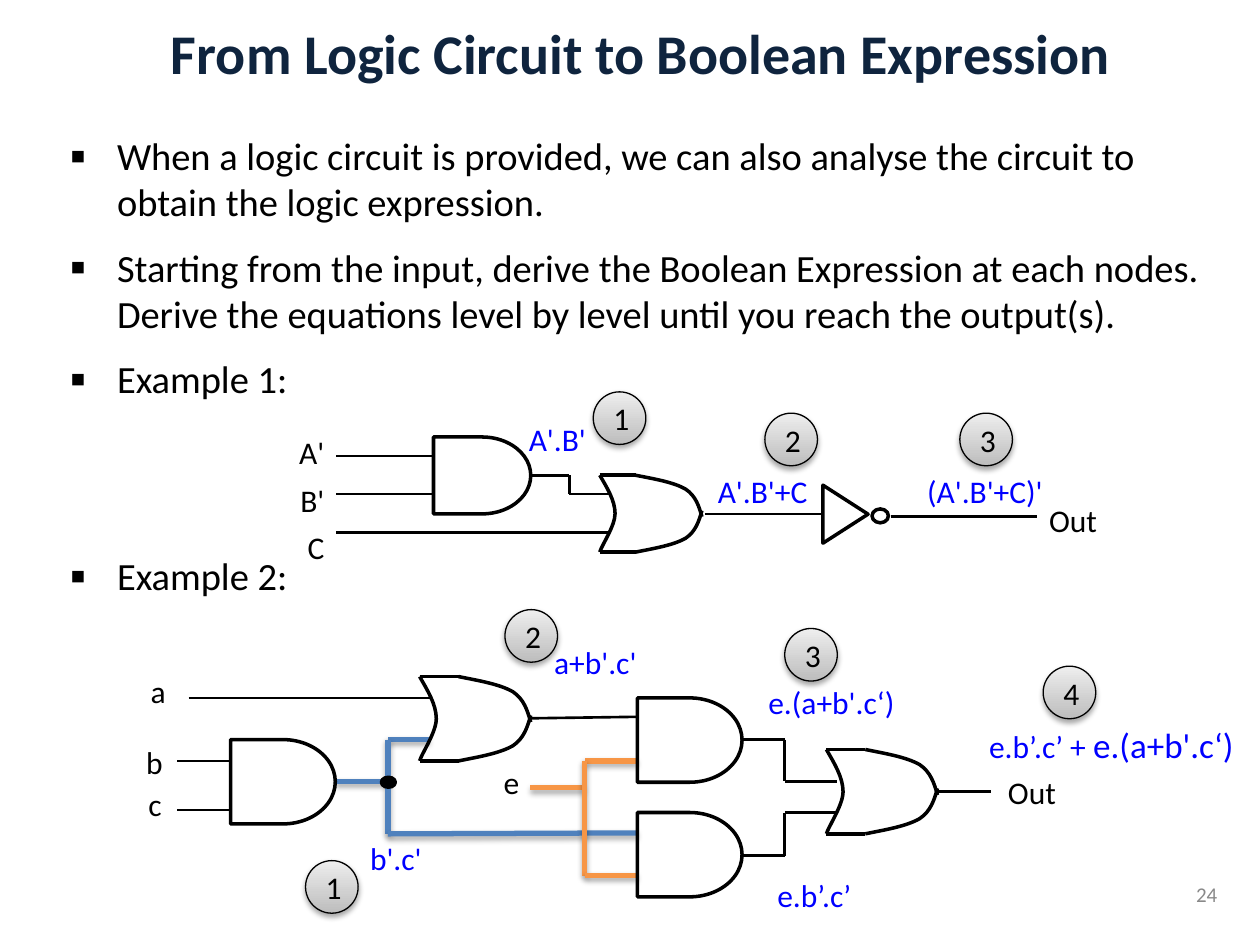
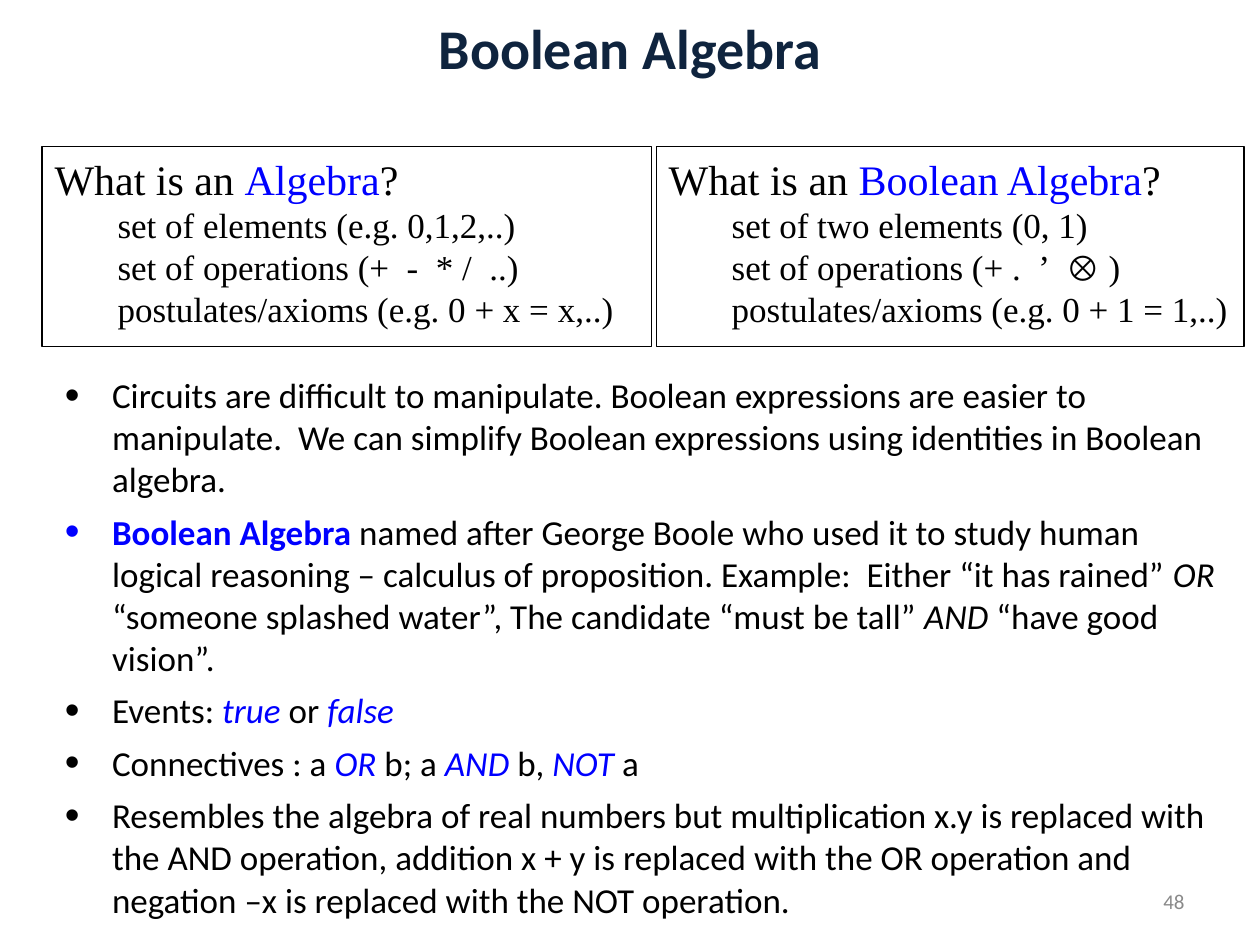
from itertools import pairwise

from lxml import etree
from pptx import Presentation
from pptx.dml.color import RGBColor
from pptx.enum import shapes, text
from pptx.oxml import ns
from pptx.util import Cm, Pt

COLORS = {"title": "0F243E", "ink": "000000", "key": "0000FF", "number": "898989",
          "blue": "4F81BD", "orange": "F79646", "badge_low": "BDBDBD", "badge_high": "EEEEEE"}
FONT, SERIF = "Calibri", "Times New Roman"
LEFT, CENTER, RIGHT = text.PP_ALIGN.LEFT, text.PP_ALIGN.CENTER, text.PP_ALIGN.RIGHT
SHAPE = shapes.MSO_SHAPE
BULLET_INDENT = 0.95
GATE_LINE, WIRE_LINE, BUS_LINE, THIN_LINE = 2, 1.5, 3, 0.75
BADGE_SIZE = 1.06

KEY = {"color": "key"}
KEY_BOLD = {"color": "key", "bold": True}
KEY_ITALIC = {"color": "key", "italic": True}
ITALIC = {"italic": True}

# Content: a paragraph is a list of (words, style) spans; places are in centimetres.
CIRCUIT_POINTS = [  # words, space before
    ("When a logic circuit is provided, we can also analyse the circuit to obtain "
     "the logic expression.", 0),
    ("Starting from the input, derive the Boolean Expression at each nodes. Derive the "
     "equations level by level until you reach the output(s).", 11),
    ("Example 1:", 11),
    ("Example 2:", 86),
]

EXAMPLE_1 = {
    "wires": [
        [(6.78, 9.19), (8.74, 9.19)],
        [(6.78, 9.96), (8.74, 9.96)],
        [(6.78, 10.74), (12.27, 10.74)],
        [(10.72, 9.58), (11.48, 9.58), (11.48, 9.96), (12.27, 9.96)],
        [(14.22, 10.36), (16.59, 10.36)],
        [(17.96, 10.41), (20.9, 10.41)],
    ],
    "buses": [],
    "gate_size": (1.96, 1.55),
    "and_gates": [(8.74, 8.81)],
    "or_size": (2.06, 1.55),
    "or_gates": [(12.09, 9.58)],
    "badges": [("1", 11.96, 7.9), ("2", 15.42, 8.33), ("3", 19.35, 8.33)],
    "nodes": [  # spans, left, top, width
        ([("A'.B'", KEY)], 10.41, 8.35, 1.9),
        ([("A'.B'+C", KEY)], 14.22, 9.4, 2.74),
        ([("(A'.B'+C)'", KEY)], 18.44, 9.4, 3.18),
        ([("Out", {})], 20.9, 9.97, 1.9),
    ],
    "inputs": [(["A'", "B'", "C"], 5.62, 8.61, 1.17)],
}
INVERTER = (16.46, 9.91, 1.17, 0.91)
INVERTER_BUBBLE = (17.58, 10.26, 0.33, 0.28)

EXAMPLE_2 = {
    "wires": [
        [(3.57, 15.34), (4.65, 15.34)],
        [(3.57, 16.33), (4.65, 16.33)],
        [(3.8, 14.07), (8.66, 14.07)],
        [(10.7, 14.48), (12.85, 14.45)],
        [(14.96, 14.91), (15.82, 14.91), (15.82, 15.75), (16.87, 15.75)],
        [(14.96, 17.25), (15.82, 17.25), (15.82, 16.38), (16.87, 16.38)],
        [(18.9, 15.95), (19.97, 15.95)],
    ],
    "buses": [
        ("blue", [(6.76, 15.75), (7.82, 15.75)]),
        ("blue", [(8.66, 14.91), (7.82, 14.91), (7.82, 15.75), (7.82, 16.81),
                  (12.85, 16.79)]),
        ("orange", [(10.69, 15.88), (11.79, 15.88)]),
        ("orange", [(12.85, 15.34), (11.79, 15.34), (11.79, 17.65), (12.85, 17.65)]),
    ],
    "gate_size": (2.11, 1.7),
    "and_gates": [(4.65, 14.91), (12.85, 14.07), (12.85, 16.38)],
    "or_size": (2.24, 1.7),
    "or_gates": [(8.46, 13.64), (16.66, 15.11)],
    "badges": [("1", 6.16, 17.35), ("2", 10.18, 12.29), ("3", 15.82, 12.67),
               ("4", 21.03, 13.43)],
    "nodes": [
        ([("b'.c'", KEY)], 7.21, 16.79, 1.9),
        ([("a+b'.c'", KEY)], 10.92, 12.83, 4.45),
        ([("e.(a+b'.c‘)", KEY)], 15.24, 13.64, 4.45),
        ([("e.b’.c’", KEY)], 15.42, 17.53, 4.45),
        ([("e.b’.c’ + ", KEY), ("e.(a+b'.c‘)", {"color": "key", "size": 20})],
         19.69, 14.46, 6.07),
        ([("Out", {})], 20.07, 15.46, 1.9),
    ],
    "inputs": [(["a"], 2.75, 13.43, 0.84), (["b"], 2.46, 14.86, 1.07),
               (["c"], 2.67, 15.7, 0.84), (["e"], 9.88, 15.26, 0.84)],
}
JUNCTION = (7.69, 15.67, 0.28, 0.2)

# OR gate on a unit square: a start point, then three points for each cubic curve
OR_BACK = [(0, 0), (0.07, 0.16), (0.15, 0.33), (0.15, 0.5),
           (0.15, 0.66), (0.02, 0.91), (0, 1)]
OR_UPPER = [(0.35, 0), (0.54, 0.05), (0.72, 0.09), (0.84, 0.18),
            (0.94, 0.27), (0.97, 0.4), (1, 0.54)]
OR_LOWER = [(x, 1 - y) for x, y in OR_UPPER]
OR_EDGES = [[(0, 0), (0.35, 0)], [(0, 1), (0.35, 1)]]

DEFINITIONS = [  # left, width, subject, facts
    (0.85, 12.28, "Algebra", ["set of elements (e.g. 0,1,2,..)",
                              "set of operations (+  -  * /  ..)",
                              "postulates/axioms (e.g. 0 + x = x,..)"]),
    (13.23, 11.85, "Boolean Algebra", ["set of two elements (0, 1)",
                                       "set of operations (+ .  ’  ⊗ )",
                                       "postulates/axioms (e.g. 0 + 1 = 1,..)"]),
]
ALGEBRA_POINTS = [
    [("Circuits are difficult to manipulate. Boolean expressions are easier to manipulate.  "
      "We can simplify Boolean expressions using identities in Boolean algebra.", {})],
    [("Boolean Algebra", KEY_BOLD),
     (" named after George Boole who used it to study human logical reasoning – calculus of "
      "proposition. Example:  Either “it has rained” ", {}),
     ("OR ", ITALIC), ("“someone splashed water”, The candidate “must be tall” ", {}),
     ("AND", ITALIC), (" “have good vision”.", {})],
    [("Events: ", {}), ("true ", KEY_ITALIC), ("or ", {}), ("false", KEY_ITALIC)],
    [("Connectives : a ", {}), ("OR", KEY_ITALIC), (" b; a ", {}), ("AND", KEY_ITALIC),
     (" b, ", {}), ("NOT", KEY_ITALIC), (" a", {})],
    [("Resembles the algebra of real numbers but multiplication x.y is replaced with the AND "
      "operation, addition x + y is replaced with the OR operation and negation –x is "
      "replaced with the NOT operation.", {})],
]


def rgb(name):
    return RGBColor.from_string(COLORS[name])


def add_para(frame, spans, size=18, font=FONT, align=LEFT, before=0, bullet=None, indent=0):
    """Fill the empty first paragraph of the frame, or append a new one."""
    first = frame.paragraphs[0]
    para = frame.add_paragraph() if first.runs else first
    para.alignment = align
    para.space_before = Pt(before)
    props = para._p.get_or_add_pPr()
    if indent:
        props.set("marL", str(Cm(indent)))
    if bullet:
        props.set("indent", str(-Cm(indent)))
        for tag, name, value in (("buSzPct", "val", "120000"), ("buFont", "typeface", "Arial"),
                                 ("buChar", "char", bullet)):
            etree.SubElement(props, ns.qn(f"a:{tag}")).set(name, value)
    for words, style in spans:
        span = para.add_run()
        span.text = words
        span.font.name = font
        span.font.size = Pt(style.get("size", size))
        span.font.bold = style.get("bold", False)
        span.font.italic = style.get("italic", False)
        span.font.color.rgb = rgb(style.get("color", "ink"))


def add_box(page, left, top, width, height=1.02, anchor=text.MSO_ANCHOR.TOP):
    frame = page.shapes.add_textbox(Cm(left), Cm(top), Cm(width), Cm(height)).text_frame
    frame.word_wrap = True
    frame.vertical_anchor = anchor
    return frame


def set_shadow(item, shown):
    """Replace the theme shadow by a soft one below, or by none."""
    props = item._element.spPr
    effects = props.find(ns.qn("a:effectLst"))
    if effects is None:
        effects = etree.SubElement(props, ns.qn("a:effectLst"))
    if shown:
        shadow = etree.SubElement(effects, ns.qn("a:outerShdw"), blurRad="40000", dist="23000",
                                  dir="5400000", rotWithShape="0")
        color = etree.SubElement(shadow, ns.qn("a:srgbClr"), val=COLORS["ink"])
        etree.SubElement(color, ns.qn("a:alpha"), val="35000")


def outline(shape, width=GATE_LINE):
    shape.shadow.inherit = False
    shape.fill.background()
    shape.line.color.rgb = rgb("ink")
    shape.line.width = Pt(width)
    return shape


def add_outlined(page, kind, left, top, width, height, line=GATE_LINE):
    return outline(page.shapes.add_shape(kind, Cm(left), Cm(top), Cm(width), Cm(height)), line)


def add_wire(page, points, color="ink", width=WIRE_LINE, shadow=False):
    for start, end in pairwise(points):
        wire = page.shapes.add_connector(shapes.MSO_CONNECTOR.STRAIGHT,
                                         *(Cm(value) for value in start + end))
        wire.line.color.rgb = rgb(color)
        wire.line.width = Pt(width)
        set_shadow(wire, shadow)


def add_curve(page, points):
    """Draw an open outline, joining every three segments into one cubic curve."""
    spots = [(Cm(x), Cm(y)) for x, y in points]
    builder = page.shapes.build_freeform(*spots[0])
    builder.add_line_segments(spots[1:], close=False)
    shape = outline(builder.convert_to_shape())
    segments = list(shape._element.iter(ns.qn("a:lnTo")))
    for first in range(0, len(segments), 3):
        curve = etree.Element(ns.qn("a:cubicBezTo"))
        segments[first].addprevious(curve)
        for segment in segments[first:first + 3]:
            curve.append(segment[0])
            segment.getparent().remove(segment)


def add_or_gate(page, left, top, width, height):
    def placed(points):
        return [(left + x * width, top + y * height) for x, y in points]

    for points in (OR_BACK, OR_UPPER, OR_LOWER):
        add_curve(page, placed(points))
    for points in OR_EDGES:
        add_wire(page, placed(points), width=GATE_LINE)


def add_badge(page, number, left, top):
    badge = add_outlined(page, SHAPE.OVAL, left, top, BADGE_SIZE, BADGE_SIZE, THIN_LINE)
    badge.fill.gradient()
    badge.fill.gradient_angle = 90
    for stop, name in zip(badge.fill.gradient_stops, ("badge_low", "badge_high")):
        stop.color.rgb = rgb(name)
    set_shadow(badge, True)
    badge.text_frame.vertical_anchor = text.MSO_ANCHOR.MIDDLE
    add_para(badge.text_frame, [(number, {})], align=CENTER)


def draw_circuit(page, circuit):
    for points in circuit["wires"]:
        add_wire(page, points)
    for color, points in circuit["buses"]:
        add_wire(page, points, color, BUS_LINE, shadow=True)
    for place in circuit["and_gates"]:
        add_outlined(page, SHAPE.FLOWCHART_DELAY, *place, *circuit["gate_size"])
    for place in circuit["or_gates"]:
        add_or_gate(page, *place, *circuit["or_size"])
    for spans, *place in circuit["nodes"]:
        add_para(add_box(page, *place), spans)
    for names, *place in circuit["inputs"]:
        frame = add_box(page, *place, height=1.02 if len(names) == 1 else 2.74)
        for index, name in enumerate(names):
            add_para(frame, [(name, {})], align=RIGHT, before=5.4 if index else 0)
    for badge in circuit["badges"]:
        add_badge(page, *badge)


def add_page(deck, title, title_place, number, number_place):
    page = deck.slides.add_slide(deck.slide_layouts[6])
    middle = text.MSO_ANCHOR.MIDDLE
    add_para(add_box(page, *title_place, anchor=middle),
             [(title, {"color": "title", "bold": True})], 32, align=CENTER)
    add_para(add_box(page, *number_place, 5.92, anchor=middle),
             [(number, {"color": "number"})], 12, align=RIGHT)
    return page


def add_circuit_page(deck):
    page = add_page(deck, "From Logic Circuit to Boolean Expression", (2.13, 0, 21.59, 2.11),
                    "24", (18.87, 17.52))
    body = add_box(page, 1.16, 2.54, 23.72, 4.01)
    for words, before in CIRCUIT_POINTS:
        add_para(body, [(words, {})], 22, before=before, bullet="▪", indent=BULLET_INDENT)
    draw_circuit(page, EXAMPLE_1)
    add_outlined(page, SHAPE.FLOWCHART_MERGE, *INVERTER).rotation = 270
    add_outlined(page, SHAPE.OVAL, *INVERTER_BUBBLE)
    draw_circuit(page, EXAMPLE_2)
    junction = add_outlined(page, SHAPE.OVAL, *JUNCTION)
    junction.fill.solid()
    junction.fill.fore_color.rgb = rgb("ink")


def add_algebra_page(deck):
    page = add_page(deck, "Boolean Algebra", (0, 0, 25.4, 1.9), "48", (18.21, 17.65))
    for left, width, subject, facts in DEFINITIONS:
        frame = add_outlined(page, SHAPE.RECTANGLE, left, 2.96, width, 4.02,
                             THIN_LINE).text_frame
        frame.word_wrap = True
        frame.vertical_anchor = text.MSO_ANCHOR.TOP
        add_para(frame, [("What is an ", {}), (subject, KEY), ("?", {})], 24, SERIF)
        for fact in facts:
            add_para(frame, [(fact, {})], 20, SERIF, indent=1.27)
    body = add_box(page, 1.06, 7.41, 23.7, 8.69)
    for index, spans in enumerate(ALGEBRA_POINTS):
        add_para(body, spans, 20, before=6 if index else 0, bullet="•", indent=BULLET_INDENT)


def main():
    deck = Presentation()
    deck.slide_width, deck.slide_height = Cm(25.4), Cm(19.05)
    add_circuit_page(deck)
    add_algebra_page(deck)
    deck.save("out.pptx")


if __name__ == "__main__":
    main()
